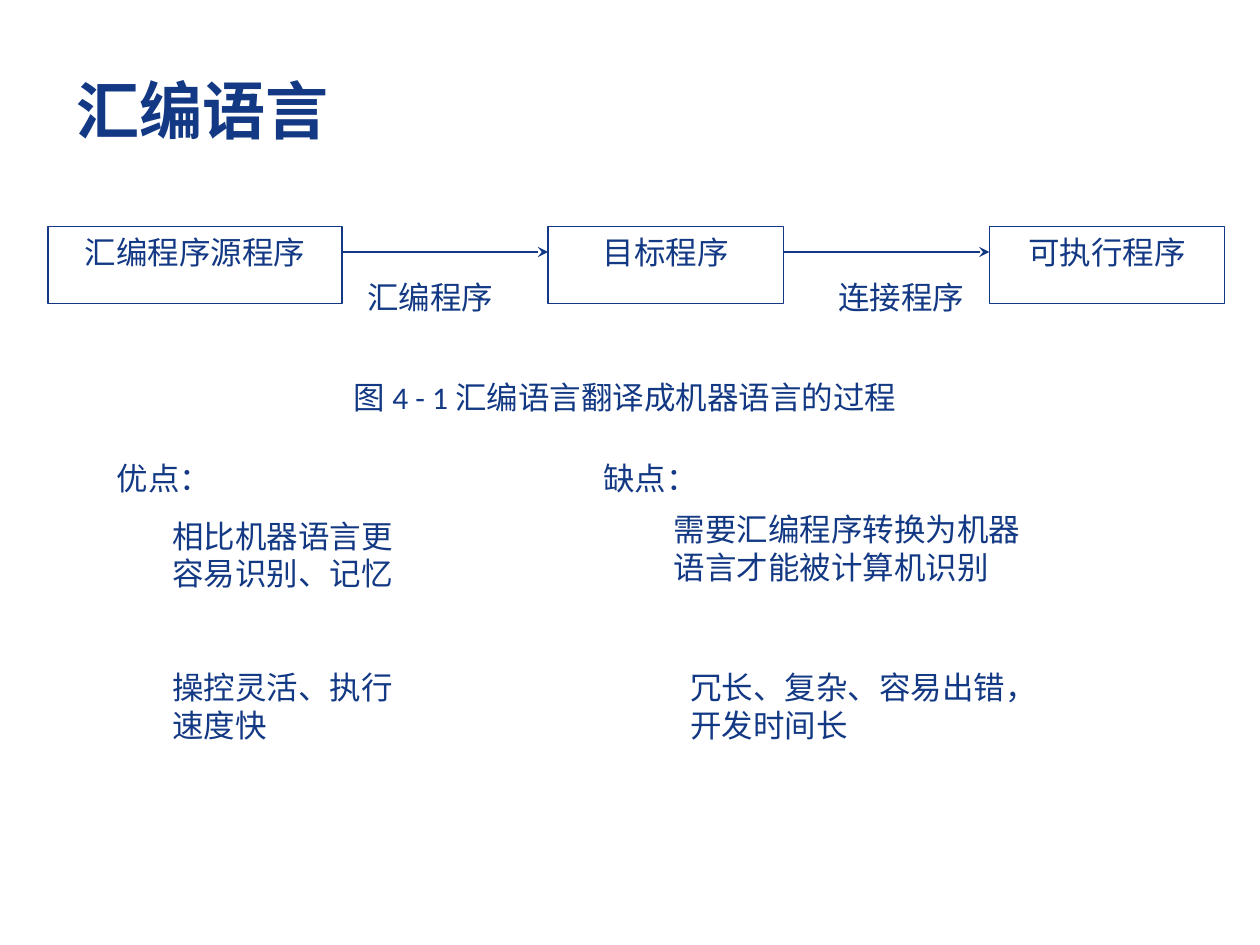
from lxml import etree
from pptx import Presentation
from pptx.dml.color import RGBColor
from pptx.enum.shapes import MSO_CONNECTOR, MSO_SHAPE
from pptx.enum.text import MSO_ANCHOR, MSO_AUTO_SIZE, PP_ALIGN
from pptx.oxml.ns import qn
from pptx.util import Inches, Pt

RECTANGLE = MSO_SHAPE.RECTANGLE
STRAIGHT = MSO_CONNECTOR.STRAIGHT
TOP, MIDDLE = MSO_ANCHOR.TOP, MSO_ANCHOR.MIDDLE
LEFT, CENTER = PP_ALIGN.LEFT, PP_ALIGN.CENTER
GROW = MSO_AUTO_SIZE.SHAPE_TO_FIT_TEXT
NO_FIT = MSO_AUTO_SIZE.NONE

COLORS = {name: RGBColor.from_string(value) for name, value in {
    "ink": "133984",
    "paper": "FFFFFF",
}.items()}

deck = Presentation()
deck.slide_width, deck.slide_height = Inches(10), Inches(7.5)
page = deck.slides.add_slide(deck.slide_layouts[5])


def write(frame, text, align=LEFT, size=18, font="Calibri", bold=False):
    para = frame.paragraphs[0]
    para.alignment = align
    span = para.add_run()
    span.text = text
    span.font.size = Pt(size)
    span.font.name = font
    span.font.bold = bold
    span.font.color.rgb = COLORS["ink"]


def add_flow_box(text, column, row, columns, rows):
    box = page.shapes.add_shape(
        RECTANGLE, origin_x + column * column_width, origin_y + row * row_height,
        columns * column_width, rows * row_height)
    box.shadow.inherit = False
    box.fill.solid()
    box.fill.fore_color.rgb = COLORS["paper"]
    box.text_frame.word_wrap = True
    box.text_frame.vertical_anchor = TOP
    write(box.text_frame, text, CENTER, font="Times New Roman")
    return box


title = page.shapes.title
title.left, title.top = Inches(0.51), Inches(0.24)
title.width, title.height = Inches(9), Inches(1.25)
title.text_frame.vertical_anchor = MIDDLE
title.text_frame.auto_size = NO_FIT
write(title.text_frame, "汇编语言", size=36, bold=True)

origin_x, origin_y = Inches(0.38), Inches(1.8)
column_width, row_height = Inches(9.34) // 20, Inches(0.2)

for text, column in [("连接程序", 12.5), ("汇编程序", 4.5)]:
    label = add_flow_box(text, int(column * 2) / 2, 2, 4, 2)
    label.line.fill.background()
    frame = label.text_frame
    frame.margin_left = frame.margin_right = Inches(0.02)
    frame.margin_top = frame.margin_bottom = Inches(0.01)

stages = [("汇编程序源程序", 0, 5), ("目标程序", 8.5, 4), ("可执行程序", 16, 4)]
for text, column, columns in stages:
    stage = add_flow_box(text, column, 0, columns, 3.05)
    stage.line.color.rgb = COLORS["ink"]
    stage.line.width = Pt(0.75)

arrow_y = origin_y + row_height
for (_, column, columns), (_, next_column, _) in zip(stages, stages[1:]):
    arrow = page.shapes.add_connector(
        STRAIGHT, int(origin_x + (column + columns) * column_width), arrow_y,
        int(origin_x + next_column * column_width), arrow_y)
    arrow.line.color.rgb = COLORS["ink"]
    arrow.line.width = Pt(0.75)
    etree.SubElement(arrow.line._get_or_add_ln(), qn("a:tailEnd"), type="stealth")
    etree.SubElement(arrow._element.spPr, qn("a:effectLst"))

notes = [
    ("图 4 - 1 汇编语言翻译成机器语言的过程", 2.71, 2.95, 4.55, 0.4, True),
    ("优点：", 0.83, 3.59, 0.96, 0.4, False),
    ("相比机器语言更容易识别、记忆", 1.27, 4.05, 2.14, 0.71, True),
    ("缺点：", 4.69, 3.59, 0.96, 0.4, False),
    ("需要汇编程序转换为机器语言才能被计算机识别", 5.25, 4, 3.14, 0.71, True),
    ("操控灵活、执行速度快", 1.27, 5.25, 2.14, 0.71, True),
    ("冗长、复杂、容易出错，开发时间长", 5.38, 5.25, 2.85, 0.71, True),
]
for text, left, top, width, height, wraps in notes:
    note = page.shapes.add_textbox(
        Inches(left), Inches(top), Inches(width), Inches(height))
    note.text_frame.word_wrap = wraps
    note.text_frame.auto_size = GROW
    write(note.text_frame, text)

deck.save("out.pptx")
